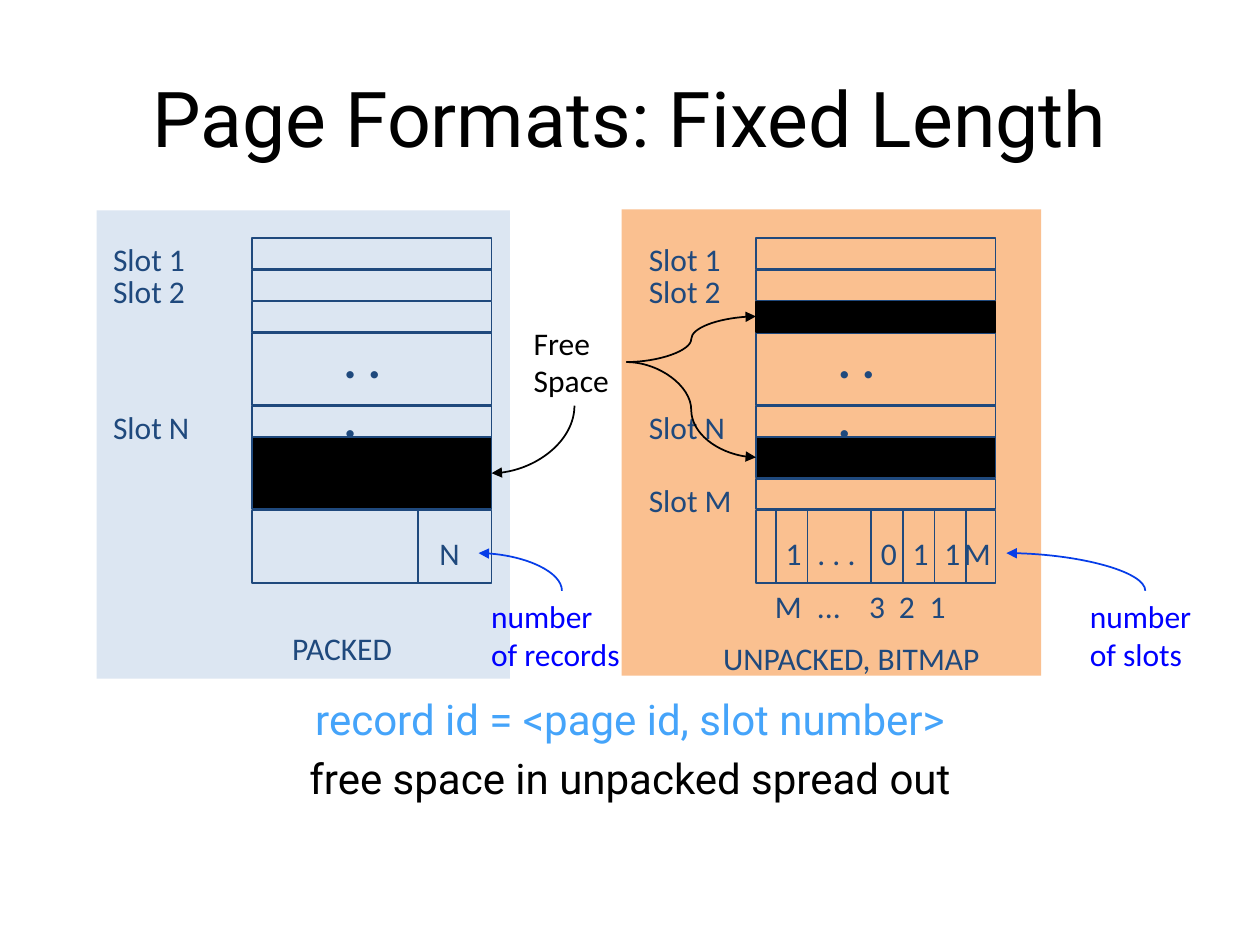
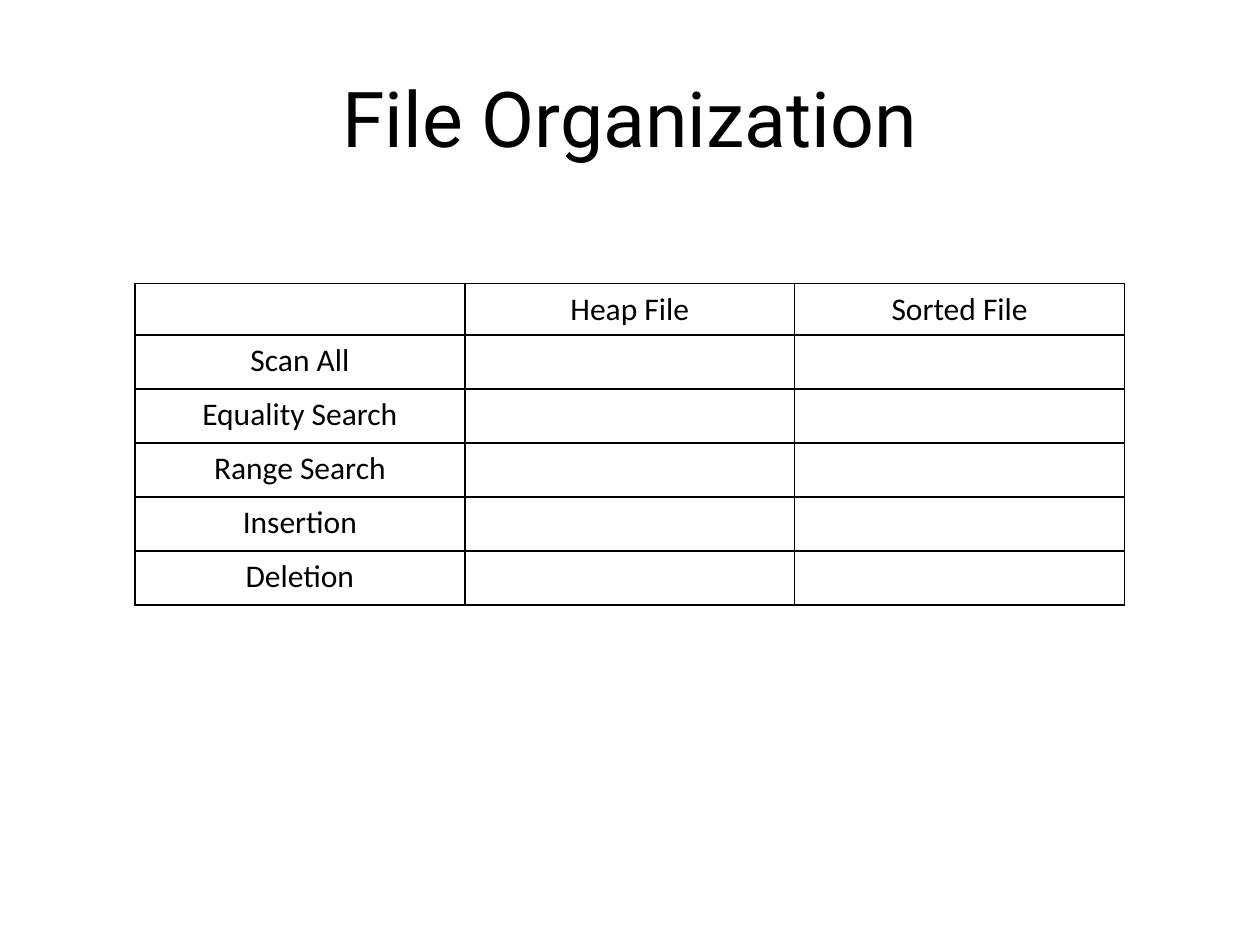
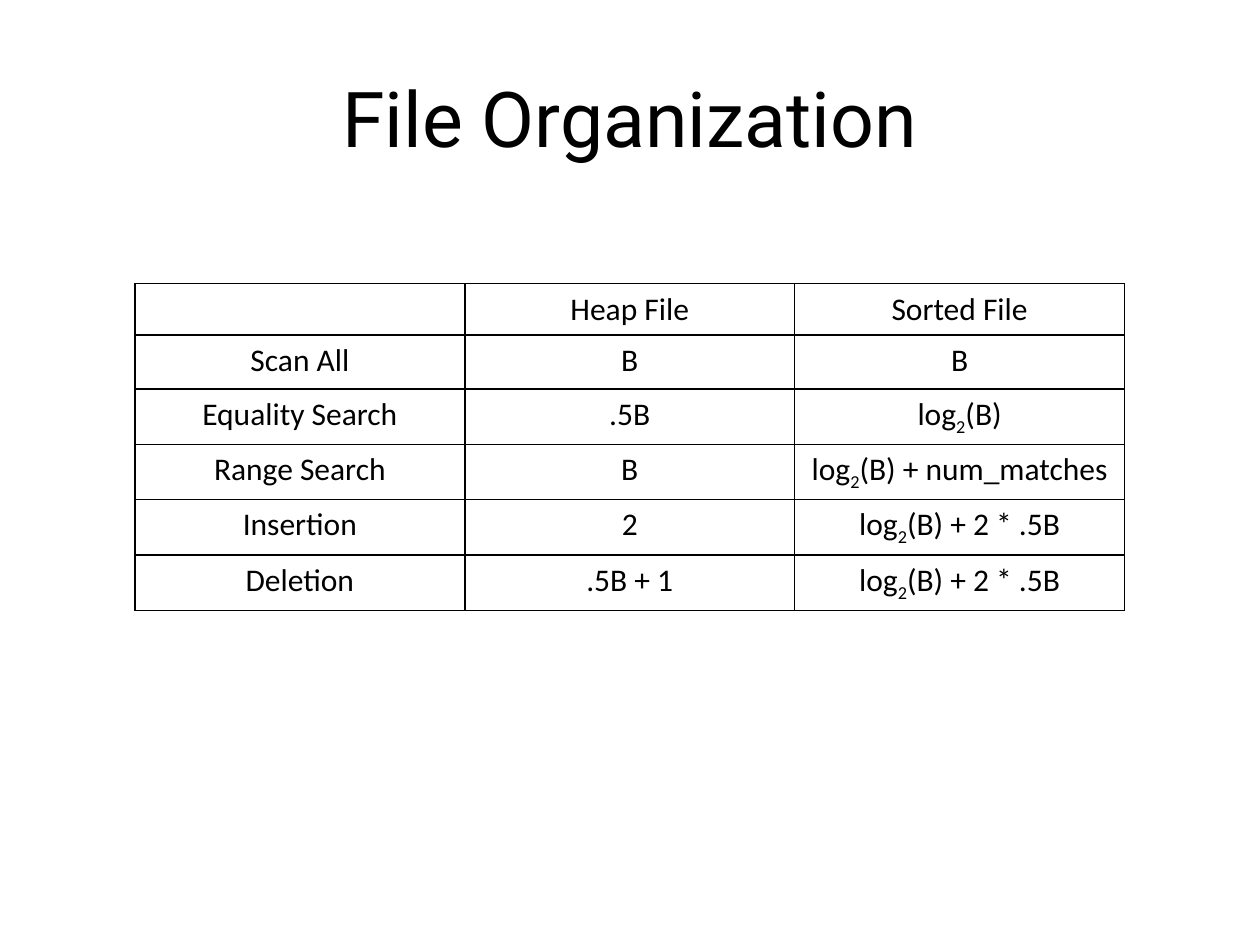
import pptx
import pptx.dml.color
import pptx.enum.shapes
import pptx.enum.text
import pptx.oxml.ns
import pptx.util
from lxml import etree

Cm = pptx.util.Cm
Pt = pptx.util.Pt
qn = pptx.oxml.ns.qn
ALIGN = pptx.enum.text.PP_ALIGN
ANCHOR = pptx.enum.text.MSO_ANCHOR
LINE = pptx.enum.shapes.MSO_CONNECTOR

BLACK, NAVY, BLUE, ARROW_BLUE, SKY = "000000", "1F497D", "0000FF", "063DE8", "45A4FA"
ORANGE, PALE_BLUE = "FAC090", "DCE6F2"
TITLE_FONT, BODY_FONT = "Roboto", "Calibri"


def color(value):
    """Turn a hex string into a colour."""
    return pptx.dml.color.RGBColor.from_string(value)


def write(para, text, size=18, ink=BLACK, font=BODY_FONT, bold=None, align=None):
    """Write text into a paragraph; parts between ~ marks become subscripts."""
    para.alignment = align
    for index, part in enumerate(text.split("~")):
        span = para.add_run()
        span.text = part
        span.font.size = Pt(size)
        span.font.name = font
        span.font.bold = bold
        span.font.color.rgb = color(ink)
        if index % 2:
            span.font._element.set("baseline", "-25000")


class Deck:
    """Hold the presentation style and the current slide."""

    def __init__(self):
        """Start an empty 4:3 deck."""
        self.show = pptx.Presentation()
        self.show.slide_width, self.show.slide_height = Cm(25.4), Cm(19.05)
        self.page = None

    def add_page(self, title):
        """Add a title-only slide and format its title."""
        self.page = self.show.slides.add_slide(self.show.slide_layouts[5])
        box = self.page.shapes.title
        box.left, box.top, box.width, box.height = Cm(1.27), Cm(0.76), Cm(22.86), Cm(3.18)
        box.text_frame.vertical_anchor = ANCHOR.MIDDLE
        write(box.text_frame.paragraphs[0], title, size=44, font=TITLE_FONT, align=ALIGN.CENTER)

    def rect(self, left, top, width, height, fill=None, line=None):
        """Draw a rectangle with an optional fill and outline."""
        shape = self.page.shapes.add_shape(
            pptx.enum.shapes.MSO_SHAPE.RECTANGLE, Cm(left), Cm(top), Cm(width), Cm(height))
        shape.shadow.inherit = False
        if fill:
            shape.fill.solid()
            shape.fill.fore_color.rgb = color(fill)
        else:
            shape.fill.background()
        if line:
            shape.line.color.rgb = color(line)
            shape.line.width = Pt(1)
        else:
            shape.line.fill.background()

    def text(self, left, top, width, height, lines, space_before=0, inks=None, **style):
        """Add a text box with one paragraph for each line."""
        box = self.page.shapes.add_textbox(Cm(left), Cm(top), Cm(width), Cm(height))
        frame = box.text_frame
        frame.word_wrap = True
        for index, line in enumerate(lines):
            para = frame.add_paragraph() if index else frame.paragraphs[0]
            para.space_before = Pt(space_before)
            if inks:
                style["ink"] = inks[index]
            write(para, line, **style)
        return box

    def line(self, start, end, ink, kind=LINE.STRAIGHT, arrow=False):
        """Draw a connector from start to end, with an optional arrowhead."""
        link = self.page.shapes.add_connector(kind, *map(Cm, start + end))
        link.line.color.rgb = color(ink)
        link.line.width = Pt(1)
        if arrow:
            etree.SubElement(link.line._get_or_add_ln(), qn("a:tailEnd"), type="triangle")
        etree.SubElement(link._element.spPr, qn("a:effectLst"))
        return link

    def bend(self, start, end, ink):
        """Draw a quarter curve that leaves start vertically and points left at end."""
        link = self.line(start, end, ink, LINE.CURVE, arrow=True)
        rise, run = abs(end[1] - start[1]), abs(end[0] - start[0])
        link.left = Cm((start[0] + end[0] - rise) / 2)
        link.top = Cm((start[1] + end[1] - run) / 2)
        link.width, link.height = Cm(rise), Cm(run)
        properties = link._element.spPr
        properties.find(qn("a:prstGeom")).set("prst", "curvedConnector2")
        frame = properties.find(qn("a:xfrm"))
        frame.set("rot", "5400000")
        frame.set("flipH", "1" if end[1] < start[1] else "0")
        frame.set("flipV", "0")

    def table(self, rows):
        """Add a plain ruled table of centred text."""
        heights = [0.71] + [1.09] * (len(rows) - 1)
        columns = len(rows[0])
        grid = self.page.shapes.add_table(
            len(rows), columns, Cm(2.72), Cm(5.72), Cm(6.65 * columns), Cm(sum(heights))).table
        grid.first_row = grid.horz_banding = False
        for column in grid.columns:
            column.width = Cm(6.65)
        for row, height, values in zip(grid.rows, heights, rows):
            row.height = Cm(height)
            for cell, value in zip(row.cells, values):
                if value:
                    write(cell.text_frame.paragraphs[0], value, align=ALIGN.CENTER)
                self.rule(cell)
                cell.fill.background()

    def rule(self, cell):
        """Give a cell thin black borders on all sides."""
        for side in ("lnL", "lnR", "lnT", "lnB"):
            border = etree.SubElement(
                cell._tc.get_or_add_tcPr(), qn("a:" + side), w=str(Pt(1)))
            fill = etree.SubElement(border, qn("a:solidFill"))
            etree.SubElement(fill, qn("a:srgbClr"), val=BLACK)


SLOT, TALL, PITCH, PAGE_WIDTH = 0.62, 1.46, 0.64, 4.83
FIRST, DOTS, LAST, FREE, SPARE, FOOT = 4.8, 6.71, 8.18, 8.81, 9.65, 10.29
PACKED_LEFT, BITMAP_LEFT = 5.08, 15.24


def draw_slots(deck, left, label_left, dots_left):
    """Draw the rows and labels that both page formats have."""
    for index in range(2):
        deck.rect(left, FIRST + index * PITCH, PAGE_WIDTH, SLOT, line=NAVY)
    for top, height in ((DOTS, TALL), (LAST, SLOT), (FOOT, TALL)):
        deck.rect(left, top, PAGE_WIDTH, height, line=NAVY)
    for label, top in (("Slot 1", 4.72), ("Slot 2", 5.36), ("Slot N", 8.1)):
        deck.text(label_left, top, 2.26, 1.02, [label], ink=NAVY)
    deck.text(dots_left, 6.52, 1.72, 1.45, [". . ."], size=28, ink=NAVY, bold=True)


def draw_packed(deck):
    """Draw the packed page."""
    draw_slots(deck, PACKED_LEFT, 2.03, 6.68)
    deck.rect(PACKED_LEFT, FIRST + 2 * PITCH, PAGE_WIDTH, SLOT, line=NAVY)
    deck.rect(PACKED_LEFT, FREE, PAGE_WIDTH, TALL, fill=BLACK, line=NAVY)
    deck.line((8.43, FOOT), (8.43, FOOT + TALL), NAVY)
    deck.text(8.61, 10.64, 1.04, 1.02, ["N"], ink=NAVY)
    deck.text(5.64, 12.55, 3.18, 1.02, ["PACKED"], ink=NAVY)


def draw_bitmap(deck):
    """Draw the unpacked page with its bitmap."""
    draw_slots(deck, BITMAP_LEFT, 12.83, 16.64)
    deck.rect(BITMAP_LEFT, FIRST + 2 * PITCH, PAGE_WIDTH, SLOT, fill=BLACK, line=BLACK)
    deck.rect(BITMAP_LEFT, FREE, PAGE_WIDTH, 0.82, fill=BLACK, line=NAVY)
    deck.rect(BITMAP_LEFT, SPARE, PAGE_WIDTH, SLOT, line=NAVY)
    deck.text(12.83, 9.58, 2.34, 1.02, ["Slot M"], ink=NAVY)
    for index in (0, 1, 3, 4, 5, 6):
        edge = 15.64 + index * PITCH
        deck.line((edge, FOOT), (edge, FOOT + TALL), NAVY)
    for index, bit in ((0, "1"), (1, ". . ."), (3, "0"), (4, "1"), (5, "1")):
        deck.text(15.59 + index * PITCH, 10.64, 0.84 if len(bit) == 1 else 1.32, 1.02,
                  [bit], ink=NAVY)
    deck.text(19.18, 10.64, 1.12, 1.02, ["M"], ink=NAVY)
    numbers = deck.text(15.37, 11.71, 4.11, 1.02, ["M\t...\t3\t2\t1"], ink=NAVY)
    stops = etree.SubElement(
        numbers.text_frame.paragraphs[0]._p.get_or_add_pPr(), qn("a:tabLst"))
    for position in (0.85, 1.9, 2.5, 3.12):
        etree.SubElement(stops, qn("a:tab"), pos=str(Cm(position)), algn="l")
    deck.text(14.33, 12.75, 6.99, 1.02, ["UNPACKED, BITMAP"], ink=NAVY)


def page_formats(deck):
    """Build the slide that compares the two page formats."""
    deck.add_page("Page Formats: Fixed Length")
    deck.text(1.27, 13.86, 22.86, 2.5,
              ["record id = <page id, slot number>", "free space in unpacked spread out"],
              inks=[SKY, BLACK], space_before=4.8, size=24, font=TITLE_FONT,
              align=ALIGN.CENTER)
    deck.rect(12.53, 4.22, 8.46, 9.4, fill=ORANGE)
    deck.rect(1.95, 4.24, 8.33, 9.44, fill=PALE_BLUE)
    draw_packed(deck)
    draw_bitmap(deck)
    deck.text(10.51, 6.4, 2.14, 1.78, ["Free", "Space"])
    deck.text(9.65, 11.91, 3.33, 1.78, ["number", "of records"], ink=BLUE)
    deck.text(21.72, 11.91, 2.72, 1.78, ["number", "of slots"], ink=BLUE)
    deck.bend((11.58, 8.18), (9.91, 9.54), BLACK)
    for target in (6.38, 9.22):
        deck.line((12.63, 7.3), (BITMAP_LEFT, target), BLACK, LINE.CURVE, arrow=True)
    deck.bend((11.33, 11.91), (9.65, 11.15), ARROW_BLUE)
    deck.bend((23.09, 11.91), (20.29, 11.15), ARROW_BLUE)


def file_organization(deck, costs):
    """Build a slide with the cost table of both file kinds."""
    deck.add_page("File Organization")
    operations = ("Scan All", "Equality Search", "Range Search", "Insertion", "Deletion")
    deck.table([("", "Heap File", "Sorted File")]
               + [(name, *pair) for name, pair in zip(operations, costs)])


deck = Deck()
page_formats(deck)
file_organization(deck, [("", "")] * 5)
file_organization(deck, [
    ("B", "B"),
    (".5B", "log~2~(B)"),
    ("B", "log~2~(B) + num_matches"),
    ("2", "log~2~(B) + 2 * .5B"),
    (".5B + 1", "log~2~(B) + 2 * .5B"),
])
deck.show.save("out.pptx")
